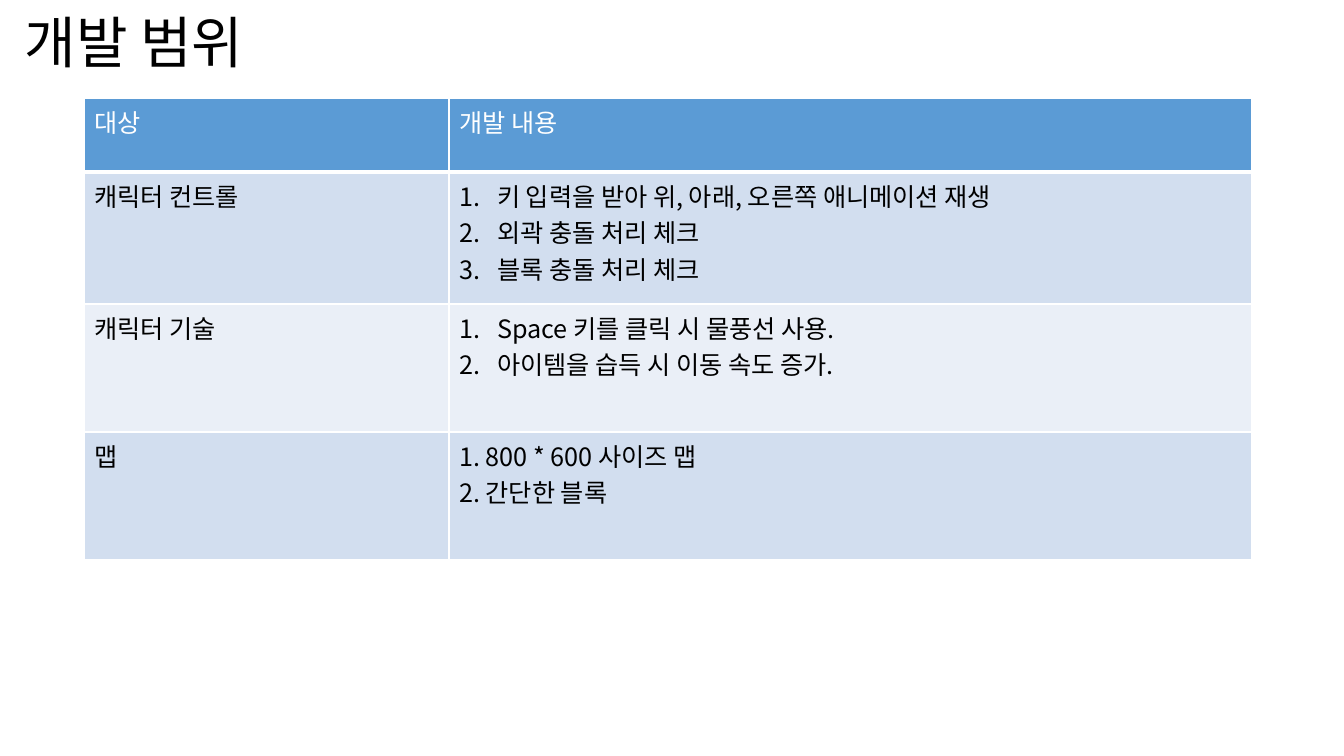
from lxml import etree
from pptx import Presentation, util as u
from pptx.dml.color import RGBColor
from pptx.enum import text
from pptx.oxml.ns import qn

BLACK = RGBColor(0x00, 0x00, 0x00)
WHITE = RGBColor(0xFF, 0xFF, 0xFF)
BLUE = RGBColor(0x5B, 0x9B, 0xD5)
BAND_DARK = RGBColor(0xD2, 0xDE, 0xEF)
BAND_LIGHT = RGBColor(0xEA, 0xEF, 0xF7)


def px(n):
    return u.Emu(round(n * 12192000 / 1344))


class Deck:
    font = "Noto Sans CJK KR"
    indent = 38

    def __init__(self, width, height):
        self.prs = Presentation()
        self.prs.slide_width, self.prs.slide_height = px(width), px(height)
        self.s = self.prs.slides.add_slide(self.prs.slide_layouts[6])

    def put_text(self, tf, lines, size=18, color=BLACK, numbered=False):
        for i, line in enumerate(lines):
            p = tf.paragraphs[0] if i == 0 else tf.add_paragraph()
            r = p.add_run()
            r.text = line
            r.font.size = u.Pt(size)
            r.font.color.rgb = color
            r.font.name = self.font
            etree.SubElement(r.font._element, qn("a:ea"), typeface=self.font)
            if numbered:
                pPr = p._p.get_or_add_pPr()
                pPr.set("marL", str(px(self.indent)))
                pPr.set("indent", str(-px(self.indent)))
                etree.SubElement(pPr, qn("a:buFont"), typeface="+mj-lt")
                etree.SubElement(pPr, qn("a:buAutoNum"), type="arabicPeriod")

    def textbox(self, x, y, w, h, lines, **fmt):
        tf = self.s.shapes.add_textbox(px(x), px(y), px(w), px(h)).text_frame
        tf.word_wrap = True
        tf.vertical_anchor = text.MSO_ANCHOR.TOP
        self.put_text(tf, lines, **fmt)

    def border(self, cell, **widths):
        tcPr = cell._tc.get_or_add_tcPr()
        for side in "LRTB":
            ln = etree.SubElement(tcPr, qn("a:ln" + side), w=str(u.Pt(widths.get(side, 1))))
            fill = etree.SubElement(ln, qn("a:solidFill"))
            etree.SubElement(fill, qn("a:srgbClr"), val=str(WHITE))

    def table(self, x, y, cols, heights, rows):
        frame = self.s.shapes.add_table(len(rows), len(cols), px(x), px(y),
                                        px(sum(cols)), px(sum(heights)))
        table = frame.table
        for col, w in zip(table.columns, cols):
            col.width = px(w)
        for i, (target, lines, numbered) in enumerate(rows):
            table.rows[i].height = px(heights[i])
            header = i == 0
            fill = BLUE if header else BAND_DARK if i % 2 else BAND_LIGHT
            for j, content in enumerate(([target], lines)):
                cell = table.cell(i, j)
                self.border(cell, T=3 if i == 1 else 1, B=3 if header else 1)
                cell.fill.solid()
                cell.fill.fore_color.rgb = fill
                self.put_text(cell.text_frame, content, color=WHITE if header else BLACK,
                              numbered=numbered and j == 1)


def main():
    deck = Deck(1344, 756)

    # Title
    deck.textbox(15, 3, 1294, 323, ["개발 범위"], size=40)

    # Scope table: target, content lines, automatic numbering
    deck.table(84, 98, [365, 803], [74, 132, 128, 128], [
        ("대상", ["개발 내용"], False),
        ("캐릭터 컨트롤", ["키 입력을 받아 위, 아래, 오른쪽 애니메이션 재생",
                     "외곽 충돌 처리 체크", "블록 충돌 처리 체크"], True),
        ("캐릭터 기술", ["Space 키를 클릭 시 물풍선 사용.",
                    "아이템을 습득 시 이동 속도 증가."], True),
        ("맵", ["1. 800 * 600 사이즈 맵", "2. 간단한 블록"], False),
    ])

    deck.prs.save("out.pptx")


if __name__ == "__main__":
    main()
